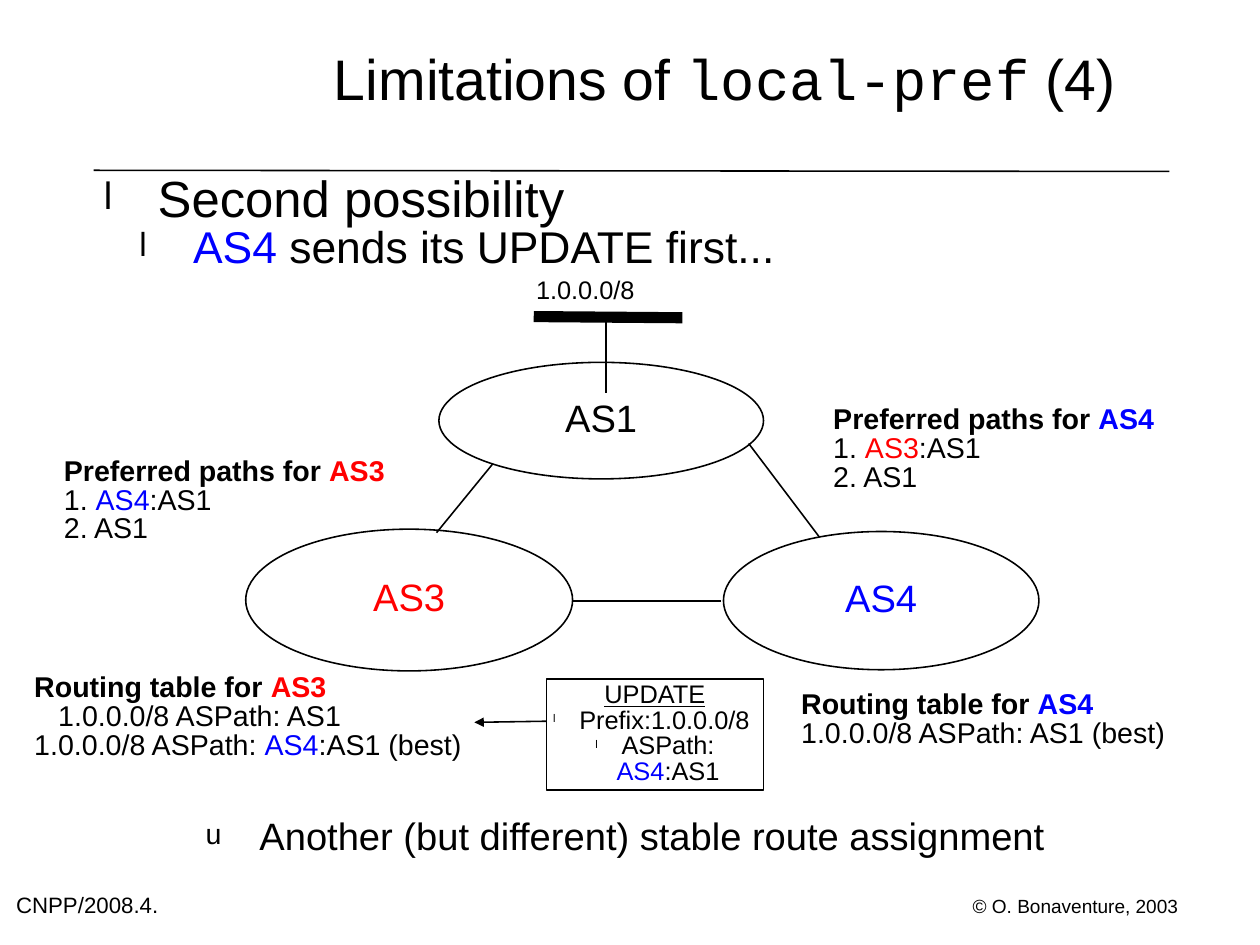
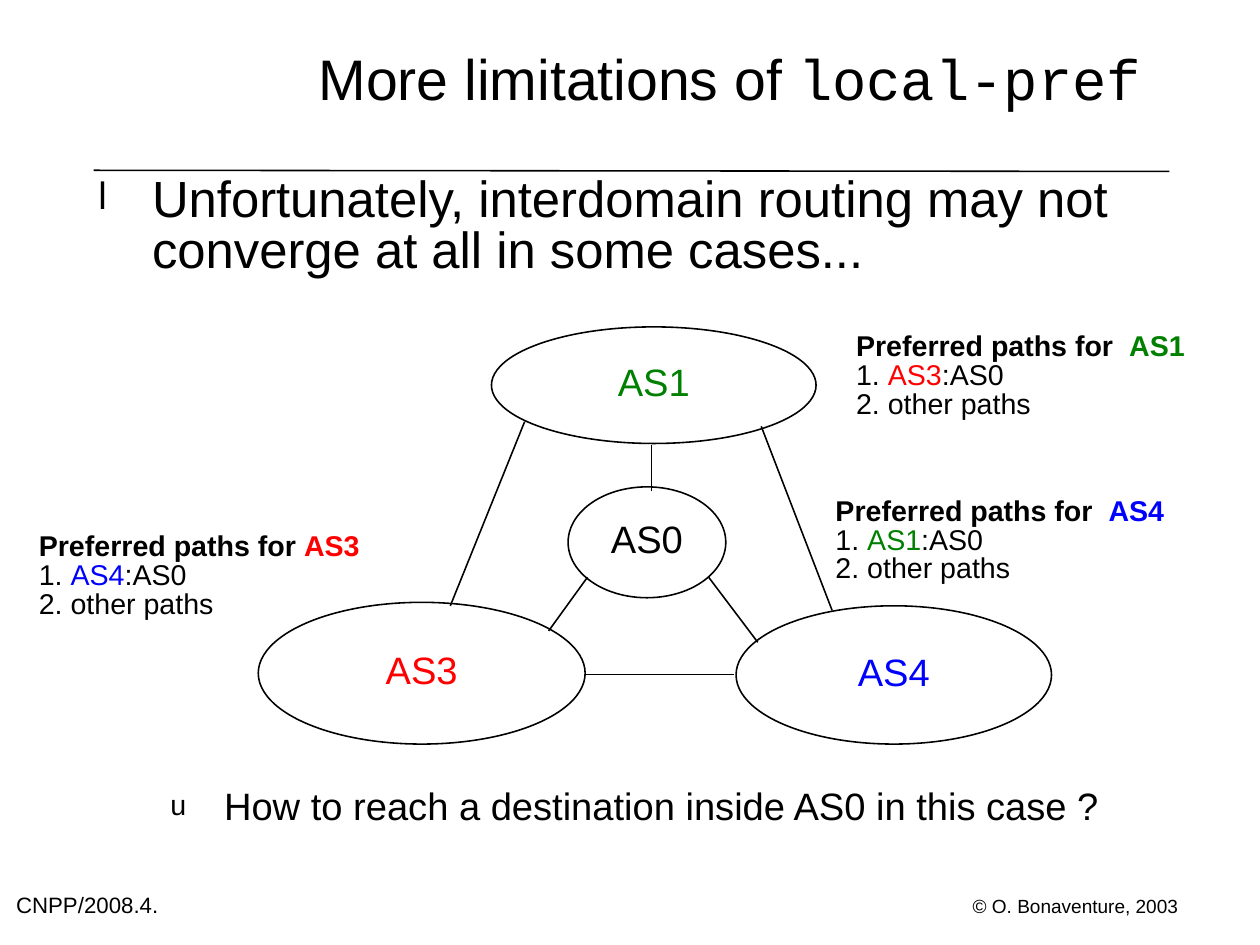
from lxml import etree
from pptx import Presentation
from pptx.dml.color import RGBColor
from pptx.enum.shapes import MSO_CONNECTOR, MSO_SHAPE
from pptx.enum.text import MSO_ANCHOR, MSO_AUTO_SIZE, PP_ALIGN
from pptx.oxml.ns import qn
from pptx.util import Inches, Pt

BLACK = RGBColor(0x00, 0x00, 0x00)
RED = RGBColor(0xFF, 0x00, 0x00)
BLUE = RGBColor(0x00, 0x00, 0xFF)
GREEN = RGBColor(0x00, 0x80, 0x00)

FONT = "Arial"
CODE_FONT = "Courier New"
LINE_SPACING = 0.84
HANG = 0.47
CM_PER_INCH = 2.54

# Coloured network names, used as runs inside running text
AS1 = ("AS1", {"color": GREEN})
AS3 = ("AS3", {"color": RED})
AS4 = ("AS4", {"color": BLUE})


def add_run(p, text, size=18, color=BLACK, font=FONT, bold=False, underline=False):
    r = p.add_run()
    r.text = text
    f = r.font
    f.size, f.name, f.bold, f.underline = Pt(size), font, bold, underline
    f.color.rgb = color


def fill_paragraph(p, runs, align=PP_ALIGN.LEFT, before=0, **fmt):
    """Write runs, each a string or a (string, own format) pair."""
    p.alignment = align
    p.line_spacing = LINE_SPACING
    p.space_before = Pt(before)
    for run in runs:
        text, own = (run, {}) if isinstance(run, str) else run
        add_run(p, text, **{**fmt, **own})


def set_indent(p, left, hang=0):
    pPr = p._p.get_or_add_pPr()
    pPr.set("marL", str(Inches(left)))
    pPr.set("indent", str(-Inches(hang)))


def add_bullet(p, char, left, hang=HANG, percent=75):
    set_indent(p, left, hang)
    pPr = p._p.get_or_add_pPr()
    color = etree.SubElement(pPr, qn("a:buClr"))
    etree.SubElement(color, qn("a:srgbClr"), val=str(BLACK))
    etree.SubElement(pPr, qn("a:buSzPct"), val=str(percent * 1000))
    etree.SubElement(pPr, qn("a:buFont"), typeface=FONT)
    etree.SubElement(pPr, qn("a:buChar"), char=char)


def list_item(p, runs, level, **fmt):
    char, left, size = [("l", 0.55, 32), ("l", 0.86, 28), ("u", 1.18, 24)][level]
    p.level = level
    fill_paragraph(p, runs, size=size, **fmt)
    add_bullet(p, char, left)


def prepare_frame(sp, anchor=MSO_ANCHOR.TOP, wrap=True):
    tf = sp.text_frame
    tf.auto_size = MSO_AUTO_SIZE.NONE
    tf.word_wrap = wrap
    tf.vertical_anchor = anchor
    tf.margin_left = tf.margin_right = tf.margin_top = tf.margin_bottom = 0
    return tf


def place(sp, box):
    sp.left, sp.top, sp.width, sp.height = map(Inches, box)


def add_text(slide, box, paragraphs, wrap=True, **fmt):
    tf = prepare_frame(slide.shapes.add_textbox(*map(Inches, box)), wrap=wrap)
    for i, runs in enumerate(paragraphs):
        p = tf.add_paragraph() if i else tf.paragraphs[0]
        fill_paragraph(p, runs, **fmt)
    return tf


def add_line(slide, start, end, width=1, arrow=False):
    line = slide.shapes.add_connector(
        MSO_CONNECTOR.STRAIGHT, *map(Inches, (*start, *end)))
    line.line.color.rgb = BLACK
    line.line.width = Pt(width)
    if arrow:
        etree.SubElement(line.line._get_or_add_ln(), qn("a:tailEnd"), type="triangle")
    etree.SubElement(line._element.spPr, qn("a:effectLst"))


def add_outline(slide, kind, box):
    sp = slide.shapes.add_shape(kind, *map(Inches, box))
    sp.shadow.inherit = False
    sp.fill.background()
    sp.line.color.rgb = BLACK
    sp.line.width = Pt(1)
    return prepare_frame(sp, MSO_ANCHOR.MIDDLE)


def add_network(slide, box, name):
    tf = add_outline(slide, MSO_SHAPE.OVAL, box)
    fill_paragraph(tf.paragraphs[0], [name], PP_ALIGN.CENTER, size=24)


def add_note(slide, left, top, heading, name, lines):
    """Bold heading ending in a network name, then plain lines."""
    text, own = name
    head = [(heading, {"bold": True}), (text, {**own, "bold": True})]
    return add_text(slide, (left, top, 4.93, 0.82), [head, *lines])


def add_preferences(slide, left, top, name, first, second,
                    heading="Preferred paths for "):
    add_note(slide, left, top, heading, name, [["1. ", *first], ["2. " + second]])


def new_slide(prs, title, title_box, body_box):
    """Add a slide with title, rule and footers; return it with its body frame."""
    slide = prs.slides.add_slide(prs.slide_layouts[1])
    add_line(slide, (0.82, 1.49), (10.23, 1.5))
    add_text(slide, (8.51, 7.86, 1.8, 0.17), [["© O. Bonaventure, 2003"]],
             wrap=False, size=12)
    add_text(slide, (0.14, 7.84, 1.68, 0.24), [["CNPP/2008.4."]], size=14)

    place(slide.shapes.title, title_box)
    tf = prepare_frame(slide.shapes.title, MSO_ANCHOR.MIDDLE)
    fill_paragraph(tf.paragraphs[0], title, PP_ALIGN.CENTER, size=36)

    body = slide.placeholders[1]
    place(body, body_box)
    return slide, prepare_frame(body)


def add_update_message(slide, box):
    tf = add_outline(slide, MSO_SHAPE.RECTANGLE, box)
    fill_paragraph(tf.paragraphs[0], [("UPDATE", {"underline": True})],
                   PP_ALIGN.CENTER, size=16)
    for runs in (["Prefix:1.0.0.0/8 "], ["ASPath: ", AS4, ":AS1"]):
        p = tf.add_paragraph()
        fill_paragraph(p, runs, PP_ALIGN.CENTER, size=16)
        add_bullet(p, "l", 0.23, 0.23, 44)
    left, top = box[:2]
    add_line(slide, (left, top + 0.37), (left - 0.63, top + 0.38), arrow=True)


def build_second_possibility(prs):
    title = ["Limitations of ", ("local-pref", {"font": CODE_FONT}), " (4)"]
    slide, body = new_slide(prs, title, (2.36, 0, 7.96, 1.46),
                            (0.83, 1.54, 9.42, 5.54))
    list_item(body.paragraphs[0], ["Second possibility"], 0)
    list_item(body.add_paragraph(), [AS4, " sends its UPDATE first..."], 1)

    add_network(slide, (3.84, 3.17, 2.84, 1.02), "AS1")
    add_network(slide, (2.15, 4.63, 2.86, 1.24), AS3)
    add_network(slide, (6.33, 4.65, 2.76, 1.21), AS4)
    for start, end in [((5.01, 5.26), (6.31, 5.26)),
                       ((3.82, 4.66), (4.31, 4.06)),
                       ((7.17, 4.7), (6.55, 3.88)),
                       ((5.3, 2.8), (5.3, 3.44))]:
        add_line(slide, start, end)
    add_text(slide, (4.69, 2.44, 0.86, 0.22), [["1.0.0.0/8"]], wrap=False, size=16)
    add_line(slide, (4.67, 2.77), (5.97, 2.78), width=7)

    add_preferences(slide, 7.29, 3.56, AS4, [AS3, ":AS1"], "AS1")
    add_preferences(slide, 0.56, 4.01, AS3, [AS4, ":AS1"], "AS1")
    add_note(slide, 7.01, 6.05, "Routing table for ", AS4,
             [["1.0.0.0/8 ASPath: AS1 (best)"]])
    tf = add_note(slide, 0.3, 5.9, "Routing table for ", AS3,
                  [["1.0.0.0/8 ASPath: AS1"],
                   ["1.0.0.0/8 ASPath: ", AS4, ":AS1 (best)"]])
    set_indent(tf.paragraphs[1], 0.21)
    add_update_message(slide, (4.78, 5.94, 1.9, 0.97))

    conclusion = slide.shapes.add_textbox(*map(Inches, (1.09, 7.17, 8.05, 0.74)))
    list_item(prepare_frame(conclusion).paragraphs[0],
              ["Another (but different) stable route assignment"], 2)


def build_no_convergence(prs):
    title = ["More limitations of ", ("local-pref ", {"font": CODE_FONT})]
    slide, body = new_slide(prs, title, (2.75, 0, 7.57, 1.46),
                            (0.78, 1.54, 9.41, 6.72))
    list_item(body.paragraphs[0], ["Unfortunately, interdomain routing may not "
                                   "converge at all in some cases..."], 0)
    list_item(body.add_paragraph(),
              ["How to reach a destination inside AS0 in this case ?"], 2, before=322)

    add_network(slide, (4.3, 2.86, 2.84, 1.02), AS1)
    add_network(slide, (2.26, 5.27, 2.86, 1.24), AS3)
    add_network(slide, (6.44, 5.3, 2.76, 1.21), AS4)
    add_network(slide, (4.97, 4.26, 1.38, 0.97), "AS0")
    for start, end in [((5.12, 5.9), (6.42, 5.9)),
                       ((3.94, 5.3), (4.59, 3.69)),
                       ((7.28, 5.34), (6.66, 3.73)),
                       ((6.63, 5.62), (6.2, 5.05)),
                       ((5.7, 4.3), (5.7, 3.89)),
                       ((4.8, 5.52), (5.14, 5.05))]:
        add_line(slide, start, end)

    add_preferences(slide, 0.34, 4.67, AS3, [AS4, ":AS0"], "other paths")
    for left, top, name, preferred in [(7.31, 4.36, AS4, AS1),
                                       (7.49, 2.92, AS1, AS3)]:
        add_preferences(slide, left, top, name, [preferred, ":AS0"], "other paths",
                        heading="Preferred paths for  ")


def main():
    prs = Presentation()
    prs.slide_width = Inches(28 / CM_PER_INCH)
    prs.slide_height = Inches(21 / CM_PER_INCH)
    build_second_possibility(prs)
    build_no_convergence(prs)
    prs.save("out.pptx")


if __name__ == "__main__":
    main()
